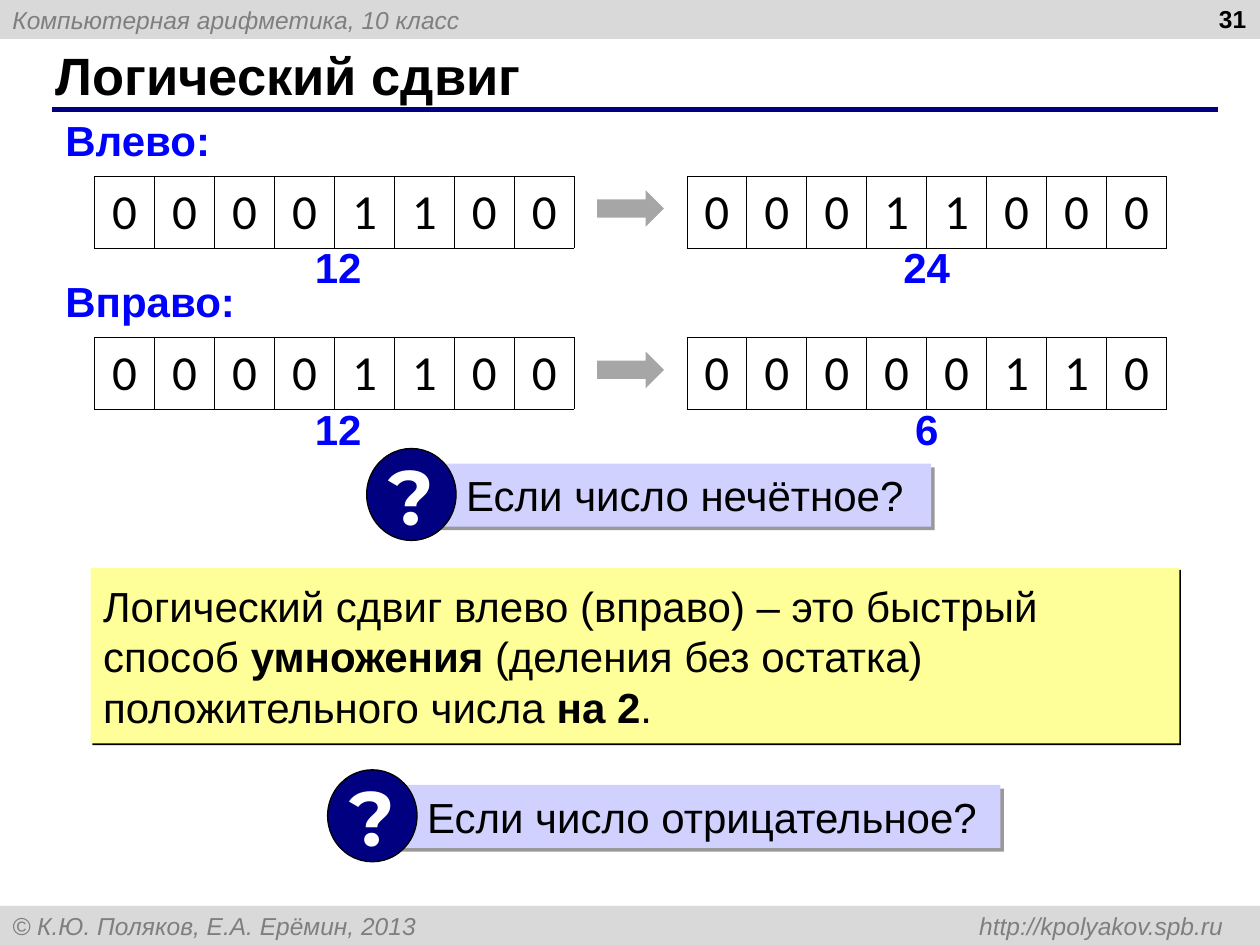
from dataclasses import dataclass

from lxml.etree import SubElement
from pptx import Presentation
from pptx.dml.color import RGBColor
from pptx.enum.shapes import MSO_CONNECTOR, MSO_SHAPE
from pptx.enum.text import MSO_ANCHOR, MSO_AUTO_SIZE, PP_ALIGN
from pptx.oxml.ns import qn
from pptx.util import Inches, Pt

BLACK = RGBColor(0x00, 0x00, 0x00)
WHITE = RGBColor(0xFF, 0xFF, 0xFF)
NAVY = RGBColor(0x00, 0x00, 0x80)
BLUE = RGBColor(0x00, 0x00, 0xFF)
LILAC = RGBColor(0xD1, 0xD1, 0xFF)
YELLOW = RGBColor(0xFF, 0xFF, 0x99)
GRAY = RGBColor(0x7F, 0x7F, 0x7F)
SILVER = RGBColor(0xA6, 0xA6, 0xA6)
PALE = RGBColor(0xD9, 0xD9, 0xD9)


@dataclass
class Shift:
    label: str
    top: float
    left: tuple[str, str]   # bits, value
    right: tuple[str, str]


@dataclass
class Query:
    text: str
    left: float
    top: float
    width: float


SHIFTS = [
    Shift("Влево:", 1.4, ("00001100", "12"), ("00011000", "24")),
    Shift("Вправо:", 2.68, ("00001100", "12"), ("00000110", "6")),
]
QUERIES = [
    Query("Если число нечётное?", 2.91, 3.56, 4.48),
    Query("Если число отрицательное?", 2.6, 6.11, 5.34),
]
RULE = [
    ("Логический сдвиг влево (вправо) – это быстрый способ ", False),
    ("умножения", True),
    (" (деления без остатка) положительного числа ", False),
    ("на 2", True),
    (".", False),
]


def style(para, size: float, color: RGBColor, bold: bool = False,
          name: str = "Arial", align=PP_ALIGN.LEFT) -> None:
    para.alignment = align
    for run in para.runs:
        font = run.font
        font.size, font.name, font.bold = Pt(size), name, bold
        font.color.rgb = color


def add_form(shapes, kind, x: float, y: float, w: float, h: float,
             fill: RGBColor):
    form = shapes.add_shape(kind, Inches(x), Inches(y), Inches(w), Inches(h))
    form.shadow.inherit = False
    form.fill.solid()
    form.fill.fore_color.rgb = fill
    form.line.fill.background()
    form.text_frame.vertical_anchor = MSO_ANCHOR.MIDDLE
    return form


def add_label(shapes, text: str, x: float, y: float, w: float, size: float,
              color: RGBColor, align=PP_ALIGN.LEFT) -> None:
    frame = shapes.add_textbox(Inches(x), Inches(y), Inches(w),
                               Inches(0.5)).text_frame
    frame.word_wrap = False
    frame.text = text
    style(frame.paragraphs[0], size, color, True, align=align)


def add_shadow(form, dist: float, alpha: int) -> None:
    effects = form._element.spPr.find(qn("a:effectLst"))
    shade = SubElement(effects, qn("a:outerShdw"), blurRad="0",
                       dist=str(Pt(dist)), dir="2700000", algn="tl",
                       rotWithShape="0")
    color = SubElement(shade, qn("a:srgbClr"), val=str(BLACK))
    SubElement(color, qn("a:alpha"), val=str(alpha * 1000))


def add_bar(shapes, text: str, y: float, tab: float = 0) -> None:
    bar = add_form(shapes, MSO_SHAPE.RECTANGLE, 0, y, 10, 0.31, PALE)
    para = bar.text_frame.paragraphs[0]
    para.text = text
    if tab:
        stops = SubElement(para._p.get_or_add_pPr(), qn("a:tabLst"))
        SubElement(stops, qn("a:tab"), pos=str(Inches(tab)), algn="r")
    style(para, 14, GRAY)
    for run in para.runs:
        run.font.italic = True


def add_bits(shapes, bits: str, x: float, y: float) -> None:
    table = shapes.add_table(1, len(bits), Inches(x), Inches(y),
                             Inches(3.81), Inches(0.47)).table
    table.first_row = table.horz_banding = False
    for cell, bit in zip(table.rows[0].cells, bits):
        cell.margin_left = cell.margin_right = Inches(0.08)
        cell.text = bit
        style(cell.text_frame.paragraphs[0], 28, BLACK, name="Calibri",
              align=PP_ALIGN.CENTER)
        props = cell._tc.get_or_add_tcPr()
        for side in "LRTB":
            edge = SubElement(props, qn(f"a:ln{side}"), w=str(Pt(0.23)))
            paint = SubElement(edge, qn("a:solidFill"))
            SubElement(paint, qn("a:srgbClr"), val=str(BLACK))
        cell.fill.background()


def add_shift(shapes, shift: Shift) -> None:
    top = shift.top
    add_label(shapes, shift.label, 0.42, top - 0.54, 1.55, 24, BLUE)
    sides = ((shift.left, 0.75, 2.4), (shift.right, 5.45, 7.07))
    for (bits, value), x, mid in sides:
        add_bits(shapes, bits, x, top)
        add_label(shapes, value, mid, top + 0.47, 0.57, 24, BLUE,
                  PP_ALIGN.CENTER)
    add_form(shapes, MSO_SHAPE.RIGHT_ARROW, 4.74, top + 0.11, 0.53, 0.29,
             SILVER)


def add_query(shapes, query: Query) -> None:
    group = shapes.add_group_shape().shapes
    box = add_form(group, MSO_SHAPE.RECTANGLE, query.left + 0.51,
                   query.top + 0.12, query.width - 0.51, 0.5, LILAC)
    add_shadow(box, 3, 40)
    frame = box.text_frame
    frame.margin_left = Inches(0.28)
    frame.text = query.text
    style(frame.paragraphs[0], 24, BLACK)

    mark = add_form(group, MSO_SHAPE.OVAL, query.left, query.top, 0.71, 0.73,
                    NAVY)
    mark.line.color.rgb = BLACK
    mark.line.width = Pt(0.75)
    mark.text_frame.word_wrap = False
    mark.text_frame.text = "?"
    style(mark.text_frame.paragraphs[0], 44, WHITE, True, "Montserrat",
          PP_ALIGN.CENTER)


def main() -> None:
    deck = Presentation()
    deck.slide_width, deck.slide_height = Inches(10), Inches(7.5)
    slide = deck.slides.add_slide(deck.slide_layouts[5])
    shapes = slide.shapes

    # Header, footer and page number
    add_bar(shapes, "Компьютерная арифметика, 10 класс", 0)
    add_bar(shapes, "© К.Ю. Поляков, Е.А. Ерёмин, 2013\thttp://kpolyakov.spb.ru",
            7.19, 9.61)
    add_label(shapes, "31", 7.66, -0.02, 2.33, 14, BLACK, PP_ALIGN.RIGHT)

    # Title and its underline
    title = shapes.title
    title.left, title.top = Inches(0.34), Inches(0.33)
    title.width, title.height = Inches(9.16), Inches(0.52)
    frame = title.text_frame
    frame.text = "Логический сдвиг"
    frame.auto_size = MSO_AUTO_SIZE.NONE
    frame.vertical_anchor = MSO_ANCHOR.MIDDLE
    style(frame.paragraphs[0], 30, BLACK, True)
    line = shapes.add_connector(MSO_CONNECTOR.STRAIGHT, Inches(0.41),
                                Inches(0.87), Inches(9.67), Inches(0.87))
    line.line.color.rgb = NAVY
    line.line.width = Pt(3)
    SubElement(line._element.spPr, qn("a:effectLst"))

    # Bit shifts
    for shift in SHIFTS:
        add_shift(shapes, shift)

    # Rule and questions
    rule = add_form(shapes, MSO_SHAPE.RECTANGLE, 0.72, 4.51, 8.64, 1.39,
                    YELLOW)
    add_shadow(rule, 1.4, 100)
    para = rule.text_frame.paragraphs[0]
    for text, _ in RULE:
        para.add_run().text = text
    style(para, 24, BLACK)
    for run, (_, bold) in zip(para.runs, RULE):
        run.font.bold = bold
    for query in QUERIES:
        add_query(shapes, query)

    deck.save("out.pptx")


if __name__ == "__main__":
    main()
